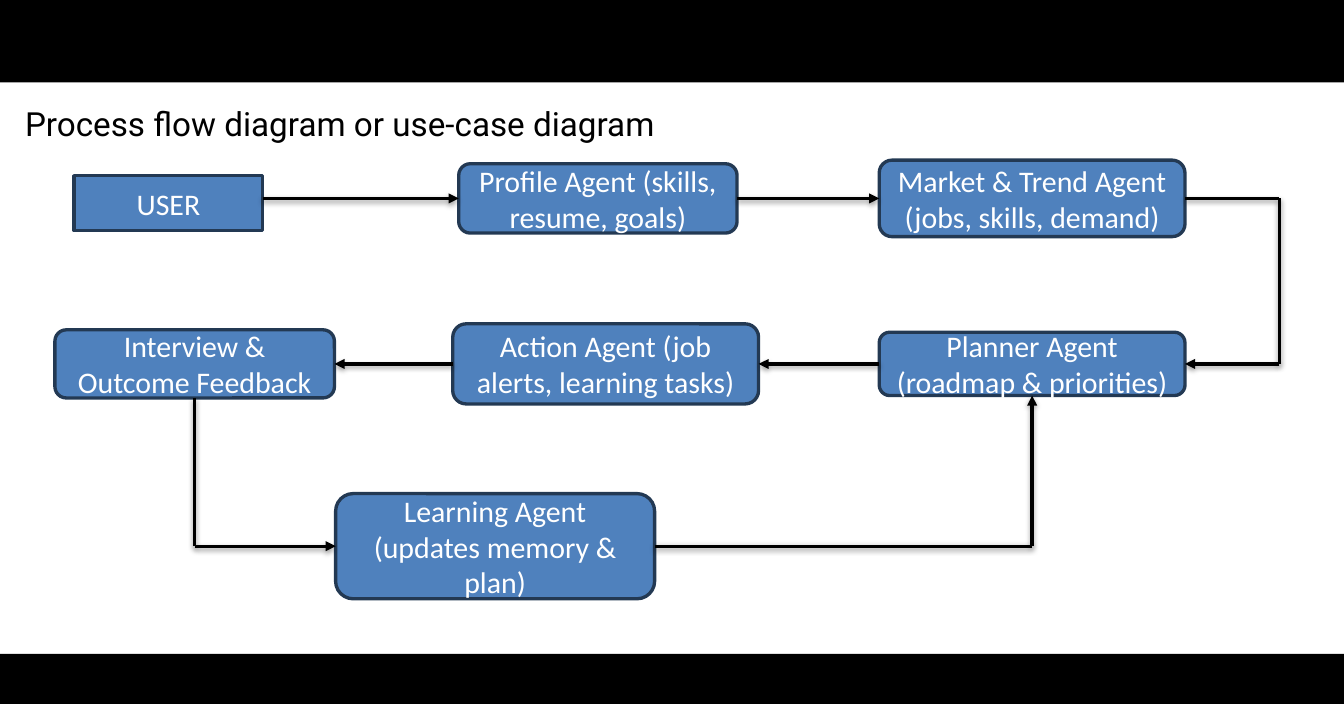
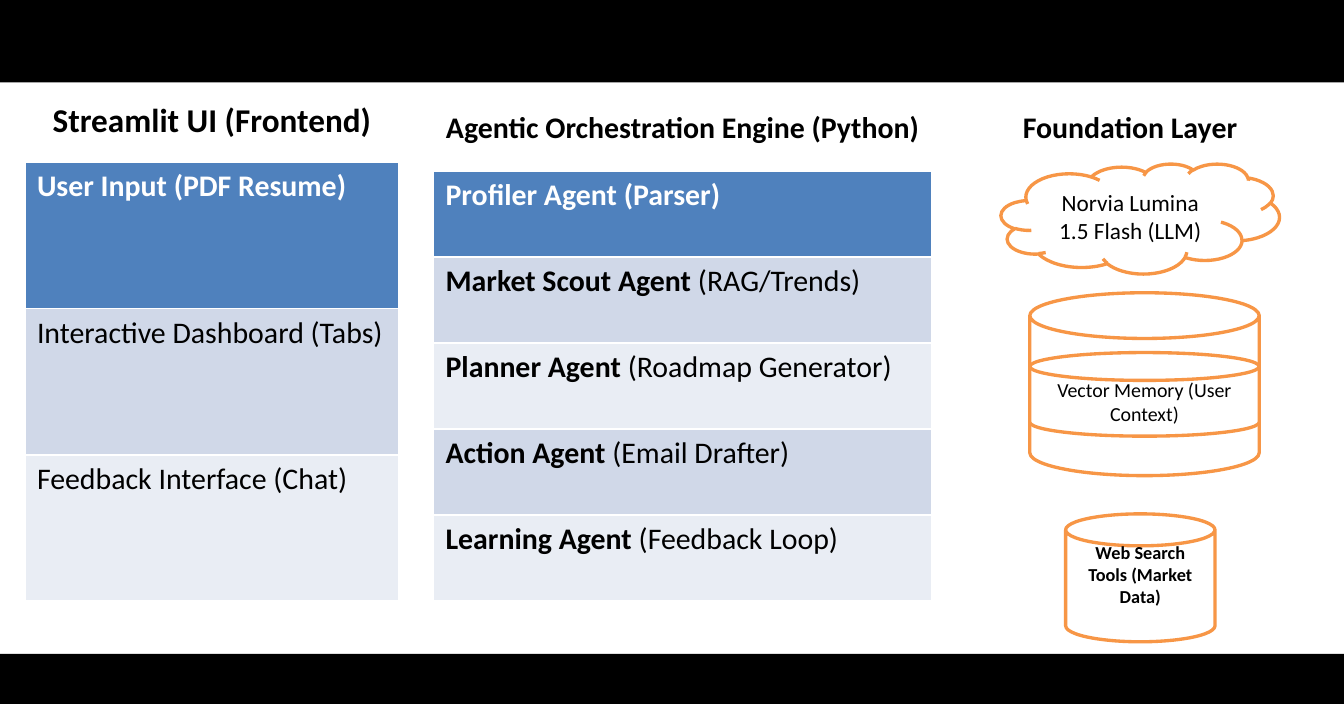
from dataclasses import dataclass
from typing import Any

from pptx import Presentation
from pptx.dml.color import RGBColor
from pptx.enum.shapes import MSO_CONNECTOR, MSO_SHAPE
from pptx.enum.text import PP_ALIGN
from pptx.oxml import parse_xml
from pptx.oxml.ns import nsdecls
from pptx.util import Inches, Pt

TOP, LEFT, BOTTOM, RIGHT = range(4)


@dataclass(frozen=True)
class Theme:
    black: str = "000000"
    white: str = "FFFFFF"
    blue: str = "4F81BD"
    navy: str = "233953"
    orange: str = "F79646"
    row_bands: tuple = ("D0D8E8", "E9EDF4")
    body_font: str = "Calibri"
    title_font: str = "Roboto"
    title: int = 20
    body: int = 18
    cloud: int = 14
    memory: int = 12
    tools: int = 11
    stroke: int = 2


THEME = Theme()


@dataclass
class Stop:
    """A point on a route, in EMU, tied to a side of a box if one is given."""
    x: int
    y: int
    box: Any = None
    site: int = 0


def side(box, site):
    """Return the stop at the middle of one side of a box."""
    across = {LEFT: 0, RIGHT: box.width}.get(site, box.width // 2)
    down = {TOP: 0, BOTTOM: box.height}.get(site, box.height // 2)
    return Stop(box.left + across, box.top + down, box, site)


def write(frame, text, lead="", size=THEME.body, color=THEME.black, bold=False,
          font=THEME.body_font, align=PP_ALIGN.CENTER, spacing=None):
    """Fill a text frame with one paragraph: an optional bold lead, then text."""
    frame.word_wrap = True
    paragraph = frame.paragraphs[0]
    paragraph.alignment = align
    if spacing:
        paragraph.line_spacing = Pt(spacing)
    for words, weight in ((lead, True), (text, bold)):
        if words:
            run = paragraph.add_run()
            run.text = words
            run.font.name = font
            run.font.size = Pt(size)
            run.font.bold = weight
            run.font.color.rgb = RGBColor.from_string(color)


class Deck:
    def __init__(self, theme):
        self.theme = theme
        self.presentation = Presentation()
        self.presentation.slide_width = Inches(11.25)
        self.presentation.slide_height = Inches(5.89)
        self.slide = None

    def new_slide(self):
        blank = self.presentation.slide_layouts[6]
        self.slide = self.presentation.slides.add_slide(blank)
        for top, height in ((5.47, 0.42), (0, 0.69)):
            self.shape(MSO_SHAPE.RECTANGLE, 0, top, 11.25, height, self.theme.black)

    def shape(self, kind, left, top, width, height, fill, line=None):
        shape = self.slide.shapes.add_shape(
            kind, Inches(left), Inches(top), Inches(width), Inches(height))
        shape.shadow.inherit = False
        shape.fill.solid()
        shape.fill.fore_color.rgb = RGBColor.from_string(fill)
        if line:
            shape.line.color.rgb = RGBColor.from_string(line)
            shape.line.width = Pt(self.theme.stroke)
        else:
            shape.line.fill.background()
        return shape

    def step(self, text, left, top, width, height, kind=MSO_SHAPE.ROUNDED_RECTANGLE):
        box = self.shape(kind, left, top, width, height, self.theme.blue, self.theme.navy)
        write(box.text_frame, text, color=self.theme.white)
        return box

    def store(self, kind, left, top, width, height):
        return self.shape(kind, left, top, width, height,
                          self.theme.white, self.theme.orange)

    def text(self, text, left, top, width, height, margin=None, **style):
        frame = self.slide.shapes.add_textbox(
            Inches(left), Inches(top), Inches(width), Inches(height)).text_frame
        if margin is not None:
            frame.margin_left = frame.margin_right = Inches(margin)
            frame.margin_top = frame.margin_bottom = Inches(margin)
        write(frame, text, **style)

    def route(self, *stops):
        """Draw straight lines from stop to stop, with an arrowhead at the last."""
        for start, finish in zip(stops, stops[1:]):
            leg = self.slide.shapes.add_connector(
                MSO_CONNECTOR.STRAIGHT, start.x, start.y, finish.x, finish.y)
            leg.line.color.rgb = RGBColor.from_string(self.theme.black)
            leg.line.width = Pt(self.theme.stroke)
            if start.box is not None:
                leg.begin_connect(start.box, start.site)
            if finish.box is not None:
                leg.end_connect(finish.box, finish.site)
            if finish is stops[-1]:
                leg.line._get_or_add_ln().append(
                    parse_xml(f'<a:tailEnd {nsdecls("a")} type="triangle"/>'))

    def table(self, rows, left, top, width, height):
        """Draw a one-column table from (bold lead, plain text) rows."""
        table = self.slide.shapes.add_table(
            len(rows), 1, Inches(left), Inches(top), Inches(width), Inches(height)).table
        bands = self.theme.row_bands
        for index, (lead, text) in enumerate(rows):
            cell = table.cell(index, 0)
            header = index == 0
            fill = self.theme.blue if header else bands[(index - 1) % len(bands)]
            cell.fill.solid()
            cell.fill.fore_color.rgb = RGBColor.from_string(fill)
            write(cell.text_frame, text, lead, align=PP_ALIGN.LEFT,
                  color=self.theme.white if header else self.theme.black)


def process_flow(deck):
    deck.new_slide()
    deck.text("Process flow diagram or use-case diagram", 0.21, 0.75, 6.89, 0.88,
              margin=0, size=THEME.title, font=THEME.title_font,
              align=PP_ALIGN.JUSTIFY, spacing=32)

    user = deck.step("USER", 0.62, 1.47, 1.58, 0.46, MSO_SHAPE.RECTANGLE)
    profile = deck.step("Profile Agent (skills, resume, goals)", 3.84, 1.37, 2.33, 0.58)
    market = deck.step("Market & Trend Agent (jobs, skills, demand)",
                       7.36, 1.34, 2.56, 0.64)
    planner = deck.step("Planner Agent (roadmap & priorities)", 7.36, 2.78, 2.56, 0.53)
    action = deck.step("Action Agent (job alerts, learning tasks)",
                       3.79, 2.71, 2.56, 0.67)
    feedback = deck.step("Interview & Outcome Feedback", 0.46, 2.76, 2.34, 0.57)
    learning = deck.step("Learning Agent (updates memory & plan)",
                         2.81, 4.13, 2.67, 0.88)

    profile_in = side(profile, LEFT)
    deck.route(Stop(user.left + user.width, profile_in.y), profile_in)
    deck.route(side(profile, RIGHT), side(market, LEFT))

    market_out, planner_in = side(market, RIGHT), side(planner, RIGHT)
    gutter = Inches(10.71)
    deck.route(market_out, Stop(gutter, market_out.y),
               Stop(gutter, planner_in.y), planner_in)

    deck.route(side(planner, LEFT), side(action, RIGHT))
    deck.route(side(action, LEFT), side(feedback, RIGHT))

    feedback_out, learning_in = side(feedback, BOTTOM), side(learning, LEFT)
    deck.route(feedback_out, Stop(feedback_out.x, learning_in.y), learning_in)

    learning_out, planner_update = side(learning, RIGHT), side(planner, BOTTOM)
    deck.route(learning_out, Stop(planner_update.x, learning_out.y), planner_update)


def architecture(deck):
    deck.new_slide()
    deck.table([("User Input (PDF Resume)", ""),
                ("", "Interactive Dashboard (Tabs)"),
                ("", "Feedback Interface (Chat)")], 0.21, 1.36, 3.13, 3.67)
    deck.table([("Profiler Agent (Parser)", ""),
                ("Market Scout Agent", " (RAG/Trends)"),
                ("Planner Agent", " (Roadmap Generator)"),
                ("Action Agent", " (Email Drafter)"),
                ("Learning Agent", " (Feedback Loop)")], 3.63, 1.43, 4.17, 3.6)

    deck.text("Streamlit UI (Frontend)", 0.21, 0.78, 3.13, 0.44,
              size=THEME.title, bold=True)
    for heading, left, width in (("Agentic Orchestration Engine (Python)", 3.63, 4.17),
                                 ("Foundation Layer", 8.21, 2.5)):
        deck.text(heading, left, 0.86, width, 0.4, bold=True)

    model = deck.store(MSO_SHAPE.CLOUD, 8.38, 1.37, 2.33, 0.92)
    write(model.text_frame, "Norvia Lumina 1.5 Flash (LLM)", size=THEME.cloud)
    deck.store(MSO_SHAPE.CAN, 8.62, 2.45, 1.92, 1.53)
    memory = deck.store(MSO_SHAPE.FLOWCHART_MAGNETIC_DISK, 8.62, 2.95, 1.92, 0.7)
    write(memory.text_frame, "Vector Memory (User Context)", size=THEME.memory)
    search = deck.store(MSO_SHAPE.CAN, 8.92, 4.3, 1.25, 1.07)
    search.text_frame.margin_bottom = Inches(0.24)
    write(search.text_frame, "Web Search Tools (Market Data)",
          size=THEME.tools, bold=True)


def main():
    deck = Deck(THEME)
    process_flow(deck)
    architecture(deck)
    deck.presentation.save("out.pptx")


if __name__ == "__main__":
    main()
